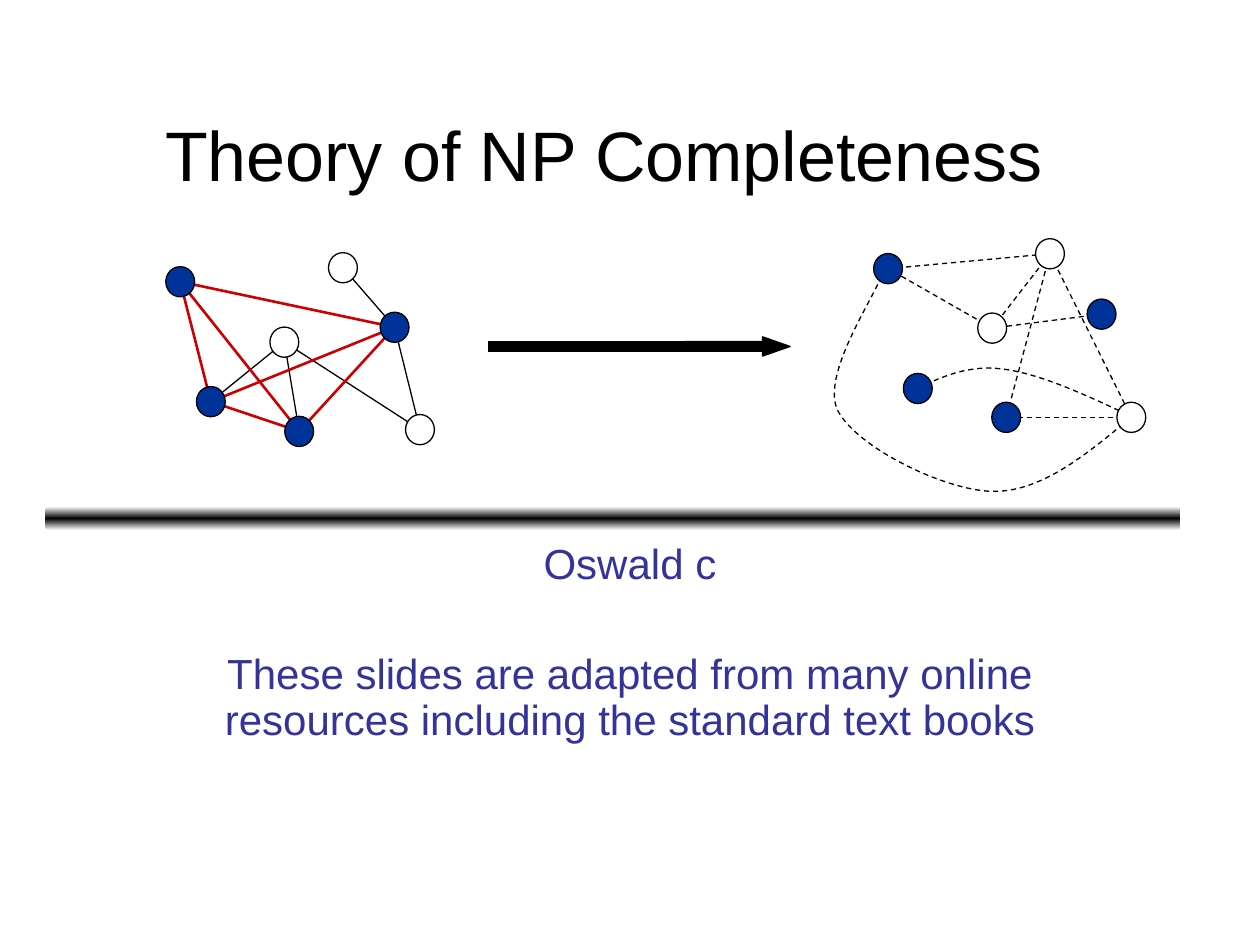
import copy

import pptx
import pptx.util
from pptx.dml.color import RGBColor
from pptx.enum.dml import MSO_LINE
from pptx.enum.shapes import MSO_CONNECTOR, MSO_SHAPE
from pptx.enum.text import MSO_ANCHOR, PP_ALIGN
from pptx.oxml.ns import qn

Pt = pptx.util.Pt

BLACK = RGBColor(0x00, 0x00, 0x00)
WHITE = RGBColor(0xFF, 0xFF, 0xFF)
BLUE = RGBColor(0x00, 0x33, 0x99)
RED = RGBColor(0xCC, 0x00, 0x00)
INDIGO = RGBColor(0x33, 0x33, 0x99)

TITLE = "Theory of NP Completeness"
CREDITS = [
    "Oswald c",
    "These slides are adapted from many online resources including the standard text books",
]

# Node centres in points; A to D are the blue nodes, W to Y the white ones.
CLIQUE_NODES = {
    "W": (162.5, 195.5), "X": (240, 245.5), "Y": (196, 153),
    "A": (103, 161), "B": (225.5, 187), "C": (120.5, 229.5), "D": (171, 246.5),
}
PLAIN_EDGES = ["CW", "BY", "XW", "DW", "BX"]
CLIQUE_EDGES = ["CD", "AC", "AD", "CB", "BD", "AB"]

COVER_NODES = {
    "W": (567, 187.5), "A": (507.5, 153.5), "B": (629.5, 179.5),
    "C": (524.5, 222), "D": (575, 238.5), "X": (646.5, 238.5), "Y": (600, 145),
}
DASHED_EDGES = ["AY", "YW", "WA", "YD", "YX", "BW", "XD"]
# Start point, then two control points and an end point for each Bezier segment.
DASHED_CURVES = [
    [(645.8, 239), (620.6, 259.9), (594.7, 281.5), (566.6, 280.8),
     (539.3, 280), (489.6, 255.6), (478.8, 234.7),
     (468.7, 214.6), (499.7, 169.9), (504, 157)],
    [(524.2, 221.8), (538.6, 215.3), (553.7, 208.1), (573.8, 211),
     (594.7, 213.8), (619.9, 225.4), (645.8, 237.6)],
]
NODE_WIDTH, NODE_HEIGHT = 16.5, 17.25

deck = pptx.Presentation()
deck.slide_width, deck.slide_height = Pt(720), Pt(540)
slide = deck.slides.add_slide(deck.slide_layouts[6])
shapes = slide.shapes


def add_text(paragraphs, left, top, width, height, size, color,
             anchor=MSO_ANCHOR.TOP, line_spacing=1.0, gap=0):
    frame = shapes.add_textbox(Pt(left), Pt(top), Pt(width), Pt(height)).text_frame
    frame.word_wrap = True
    frame.vertical_anchor = anchor
    for index, text in enumerate(paragraphs):
        paragraph = frame.paragraphs[0] if index == 0 else frame.add_paragraph()
        paragraph.alignment = PP_ALIGN.CENTER
        paragraph.line_spacing = line_spacing
        paragraph.space_before = Pt(gap if index else 0)
        run = paragraph.add_run()
        run.text = text
        run.font.name, run.font.size = "Arial", Pt(size)
        run.font.color.rgb = color


def style_line(line, color=BLACK, width=0.75, dashed=False):
    line.color.rgb = color
    line.width = Pt(width)
    if dashed:
        line.dash_style = MSO_LINE.DASH


def add_shape(preset, left, top, width, height, fill):
    shape = shapes.add_shape(preset, Pt(left), Pt(top), Pt(width), Pt(height))
    shape.shadow.inherit = False
    shape.fill.solid()
    shape.fill.fore_color.rgb = fill
    style_line(shape.line)
    return shape


def add_line(start, end, **line_format):
    line = shapes.add_connector(MSO_CONNECTOR.STRAIGHT, *map(Pt, start + end))
    line._element.spPr.get_or_add_ln()
    style_line(line.line, **line_format)
    line._element.spPr.append(
        line._element.makeelement(qn("a:effectLst"), {}))


def add_edges(nodes, edges, **line_format):
    for start, end in edges:
        add_line(nodes[start], nodes[end], **line_format)


def add_nodes(nodes):
    for name, (x, y) in nodes.items():
        add_shape(MSO_SHAPE.OVAL, x - NODE_WIDTH / 2, y - NODE_HEIGHT / 2,
                  NODE_WIDTH, NODE_HEIGHT, BLUE if name in "ABCD" else WHITE)


def add_curve(points):
    """Draw a freeform through the points, then turn each three into a Bezier segment."""
    points = [(Pt(x), Pt(y)) for x, y in points]
    builder = shapes.build_freeform(*points[0])
    builder.add_line_segments(points[1:], close=False)
    curve = builder.convert_to_shape()
    curve.shadow.inherit = False
    curve.fill.background()
    style_line(curve.line, dashed=True)
    outline = next(curve._element.iter(qn("a:path")))
    steps = outline.findall(qn("a:lnTo"))
    for first in range(0, len(steps), 3):
        bezier = outline.makeelement(qn("a:cubicBezTo"), {})
        for step in steps[first:first + 3]:
            bezier.append(step[0])
            outline.remove(step)
        outline.append(bezier)


def add_divider():
    bar = add_shape(MSO_SHAPE.ROUNDED_RECTANGLE, 26, 289.5, 648.5, 13.5, BLACK)
    bar.line.fill.background()
    bar.fill.gradient()
    bar.fill.gradient_angle = 90
    stop_list = next(bar._element.iter(qn("a:gsLst")))
    stop_list.insert(1, copy.deepcopy(stop_list[0]))
    for stop, position, color in zip(bar.fill.gradient_stops, (0, 0.5, 1), (WHITE, BLACK, WHITE)):
        stop.position = position
        stop.color.rgb = color


add_divider()
add_text([TITLE], 39, 0, 612, 175.5, size=40, color=BLACK, anchor=MSO_ANCHOR.MIDDLE)
add_text(CREDITS, 108, 307, 504, 138, size=24, color=INDIGO, line_spacing=0.9, gap=37)

arrow = add_shape(MSO_SHAPE.RIGHT_ARROW, 391.5, 192.5, 60, 11, BLACK)
arrow.adjustments[0], arrow.adjustments[1] = 0.5, 1.43
add_line((395.5, 198), (279, 198), width=6)

add_edges(CLIQUE_NODES, PLAIN_EDGES)
add_edges(CLIQUE_NODES, CLIQUE_EDGES, color=RED, width=1.5)
add_nodes(CLIQUE_NODES)

add_edges(COVER_NODES, DASHED_EDGES, dashed=True)
for curve_points in DASHED_CURVES:
    add_curve(curve_points)
add_nodes(COVER_NODES)

deck.save("out.pptx")
